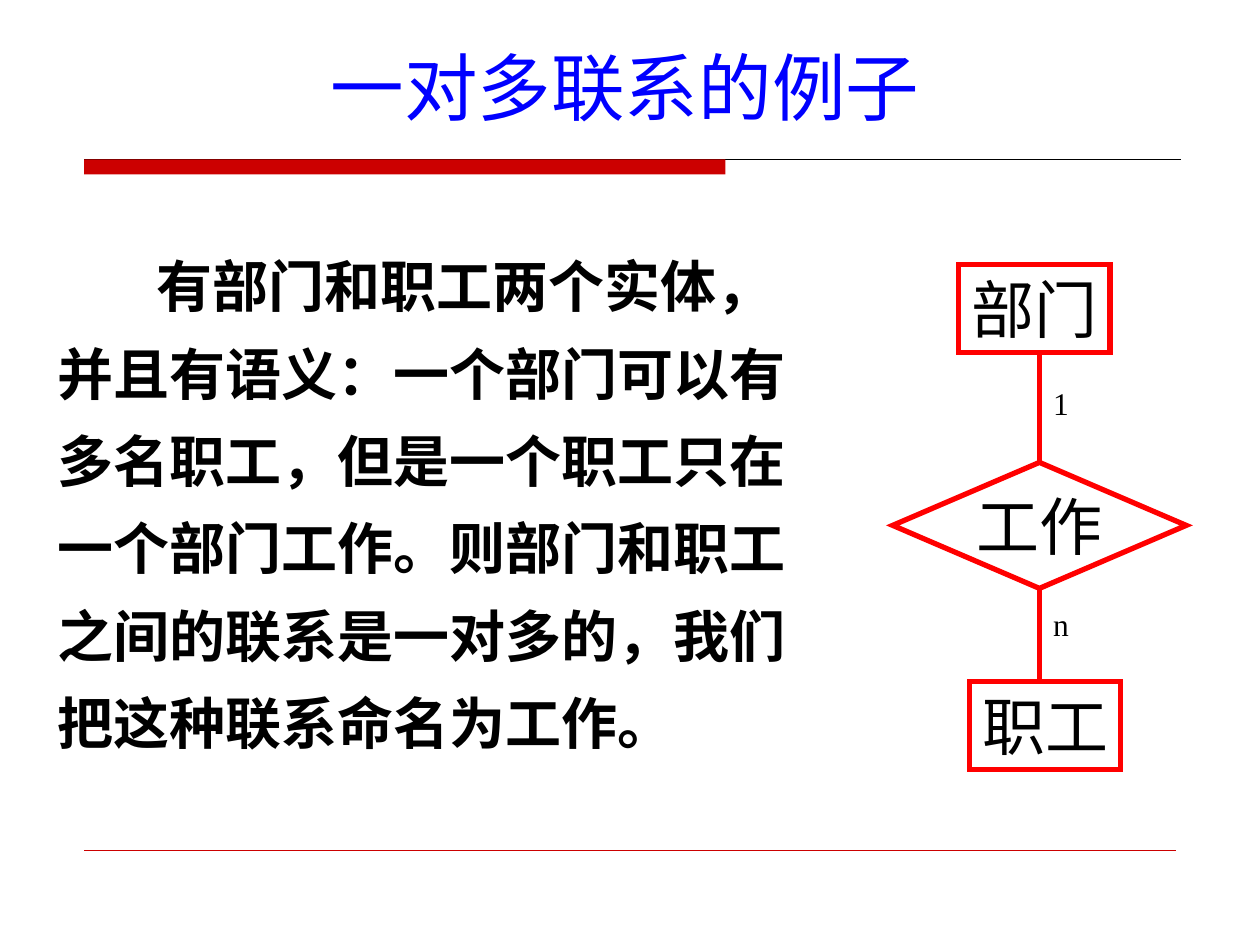
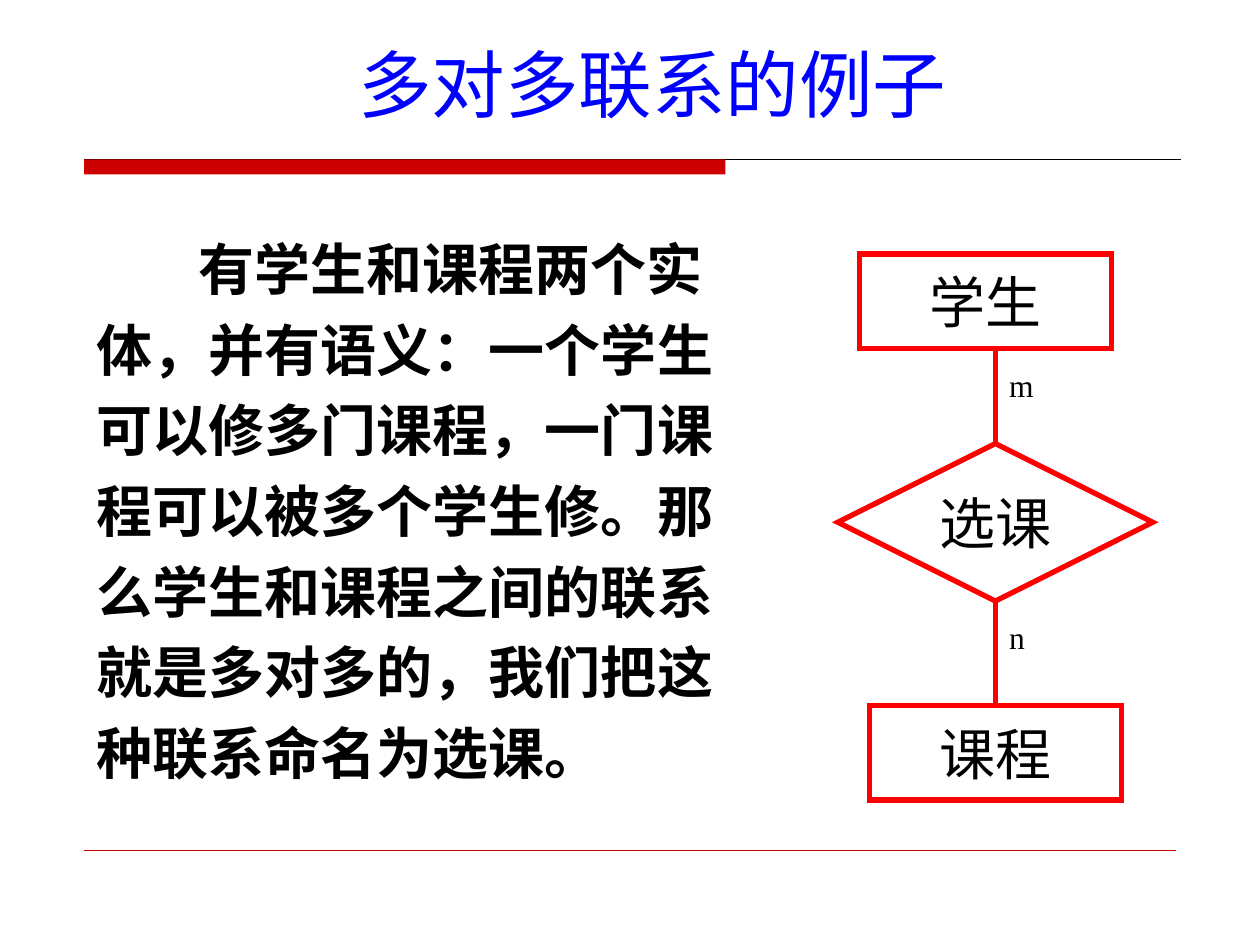
import pptx
import pptx.dml.color
import pptx.enum.shapes
import pptx.enum.text
import pptx.oxml.ns
import pptx.util
from dataclasses import dataclass

KIND = pptx.enum.shapes.MSO_SHAPE
LINE = pptx.enum.shapes.MSO_CONNECTOR.STRAIGHT
ALIGN = pptx.enum.text.PP_ALIGN
ANCHOR = pptx.enum.text.MSO_ANCHOR
Pt = pptx.util.Pt

# Grid: 100 columns by 75 rows of square cells
CELL = pptx.util.Inches(0.1)
COLS, ROWS = 100, 75

# Shared look
RED, BLUE, BLACK, DARK = "FF0000", "0000FF", "000000", "CC0000"
SERIF, SANS = "Times New Roman", "Noto Sans CJK SC"
LEFT, RIGHT = 6.68, 93.7
STROKE, HAIR = 3, 0.25
FRAME = {"margin_left": CELL, "margin_right": CELL,
         "margin_top": CELL // 2, "margin_bottom": CELL // 2}


@dataclass
class Area:
    left: float
    top: float
    width: float
    height: float

    @property
    def mid(self) -> float:
        return round(self.left + self.width / 2, 2)

    @property
    def base(self) -> float:
        return round(self.top + self.height, 2)

    def place(self) -> list[int]:
        return [grid(n) for n in (self.left, self.top, self.width, self.height)]


@dataclass
class Style:
    size: int
    color: str = BLACK
    face: str = SERIF
    bold: bool = False
    align: int = ALIGN.CENTER
    anchor: int = ANCHOR.MIDDLE
    wrap: bool = False
    lead: float = 1.0
    indent: float = 0


@dataclass
class Node:
    text: str
    area: Area


@dataclass
class Page:
    title: Node
    body: Node
    lead: float
    indent: float
    size: int        # text size inside the diagram
    upper: Node
    link: Node
    lower: Node
    marks: tuple     # cardinality and its row, upper then lower


def grid(cells: float) -> int:
    return round(cells * CELL)


def paint(code: str) -> pptx.dml.color.RGBColor:
    return pptx.dml.color.RGBColor.from_string(code)


def apply(target, values: dict) -> None:
    for name, value in values.items():
        setattr(target, name, value)


def add(parent, tag: str, **marks: str) -> None:
    parent.append(parent.makeelement(pptx.oxml.ns.qn(tag), marks))


def write(shape, text: str, style: Style) -> None:
    frame = shape.text_frame
    apply(frame, FRAME | {"word_wrap": style.wrap, "vertical_anchor": style.anchor})
    para = frame.paragraphs[0]
    apply(para, {"alignment": style.align, "line_spacing": style.lead})
    if style.indent:
        para._p.get_or_add_pPr().set("indent", str(grid(style.indent)))
    run = para.add_run()
    run.text = text
    apply(run.font, {"size": Pt(style.size), "name": style.face, "bold": style.bold})
    run.font.color.rgb = paint(style.color)
    add(run._r.get_or_add_rPr(), "a:ea", typeface=SANS)


def label(slide, node: Node, style: Style) -> None:
    write(slide.shapes.add_textbox(*node.area.place()), node.text, style)


def block(slide, kind: int, area: Area):
    shape = slide.shapes.add_shape(kind, *area.place())
    shape.shadow.inherit = False
    return shape


def entity(slide, kind: int, node: Node, size: int):
    shape = block(slide, kind, node.area)
    shape.fill.background()
    shape.line.color.rgb = paint(RED)
    shape.line.width = Pt(STROKE)
    add(shape.line._get_or_add_ln(), "a:miter", lim="800000")
    write(shape, node.text, Style(size))
    return shape


def rule(slide, start: tuple, end: tuple, color: str, width: float):
    line = slide.shapes.add_connector(LINE, *map(grid, start + end))
    line.line.color.rgb = paint(color)
    line.line.width = Pt(width)
    add(line._element.spPr, "a:effectLst")
    return line


def base(deck):
    """Add a slide with the title band and the footer rule."""
    slide = deck.slides.add_slide(deck.slide_layouts[6])
    top, foot = 12.65, 67.5
    rule(slide, (LEFT, top), (RIGHT, top), BLACK, HAIR)
    band = block(slide, KIND.RECTANGLE, Area(LEFT, top, 50.9, 1.2))
    band.fill.solid()
    band.fill.fore_color.rgb = paint(DARK)
    band.line.fill.background()
    rule(slide, (LEFT, foot), (COLS - LEFT, foot), DARK, HAIR)
    return slide


def chart(slide, page: Page) -> None:
    """Draw two entities, the relation between them and the cardinalities."""
    hub = page.link.area
    gem = entity(slide, KIND.FLOWCHART_DECISION, page.link, page.size)
    # Each side: entity, hub row, entity row, hub site, entity site
    sides = ((page.upper, hub.top, page.upper.area.base, 0, 2),
             (page.lower, hub.base, page.lower.area.top, 2, 0))
    for (node, near, far, site, port), (mark, row) in zip(sides, page.marks):
        box = entity(slide, KIND.RECTANGLE, node, page.size)
        line = rule(slide, (hub.mid, near), (hub.mid, far), RED, STROKE)
        line.begin_connect(gem, site)
        if node.area.mid == hub.mid:
            line.end_connect(box, port)
        label(slide, Node(mark, Area(hub.mid + 0.1, row, 4.5, 4)),
              Style(18, align=ALIGN.LEFT, anchor=ANCHOR.TOP, wrap=True))


PAGES = (
    Page(Node("一对多联系的例子", Area(24.8, 2.8, 49.6, 8)),
         Node("有部门和职工两个实体，并且有语义：一个部门可以有多名职工，"
              "但是一个职工只在一个部门工作。则部门和职工之间的联系是一对多的，"
              "我们把这种联系命名为工作。", Area(3.55, 17.9, 60.2, 43.5)),
         lead=1.3, indent=7.85, size=36,
         upper=Node("部门", Area(76.1, 21, 12, 7)),
         link=Node("工作", Area(70.85, 36.7, 23.3, 10)),
         lower=Node("职工", Area(76.95, 54.1, 12, 7)),
         marks=(("1", 30), ("n", 47.5))),
    Page(Node("多对多联系的例子", Area(26.95, 2.6, 49.6, 8)),
         Node("有学生和课程两个实体，并有语义：一个学生可以修多门课程，"
              "一门课程可以被多个学生修。那么学生和课程之间的联系就是多对多的，"
              "我们把这种联系命名为选课。", Area(6.7, 17.05, 53.3, 45.8)),
         lead=1.2, indent=8.1, size=32,
         upper=Node("学生", Area(68.2, 20.15, 20, 7.5)),
         link=Node("选课", Area(66.5, 35.2, 25, 12.5)),
         lower=Node("课程", Area(69, 56, 20, 7.5)),
         marks=(("m", 28.55), ("n", 48.55))),
)


def main() -> None:
    deck = pptx.Presentation()
    apply(deck, {"slide_width": grid(COLS), "slide_height": grid(ROWS)})
    for page in PAGES:
        slide = base(deck)
        label(slide, page.title, Style(42, BLUE, SANS, wrap=True))
        label(slide, page.body,
              Style(32, bold=True, align=ALIGN.LEFT, anchor=ANCHOR.TOP,
                    wrap=True, lead=page.lead, indent=page.indent))
        chart(slide, page)
    deck.save("out.pptx")


if __name__ == "__main__":
    main()
